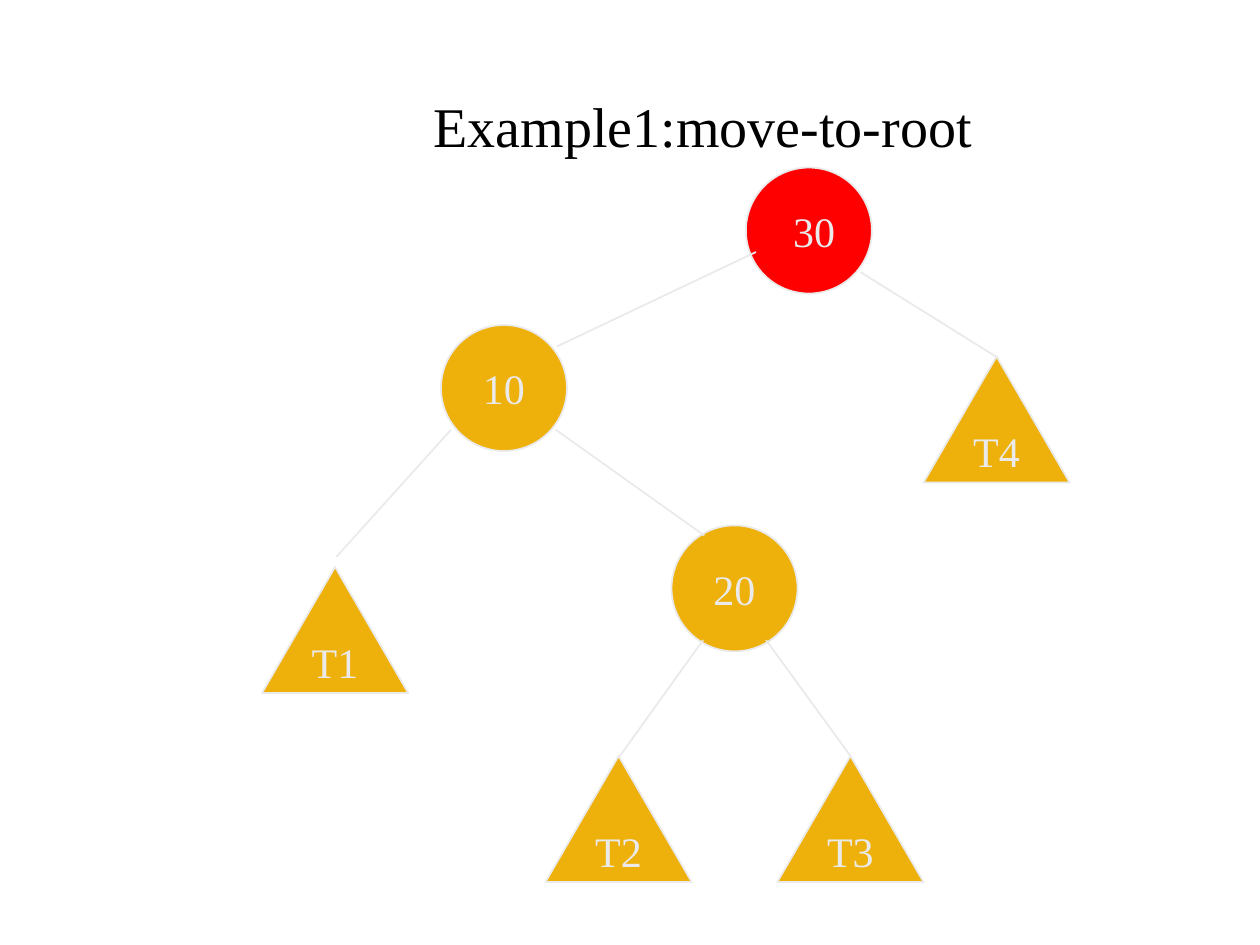
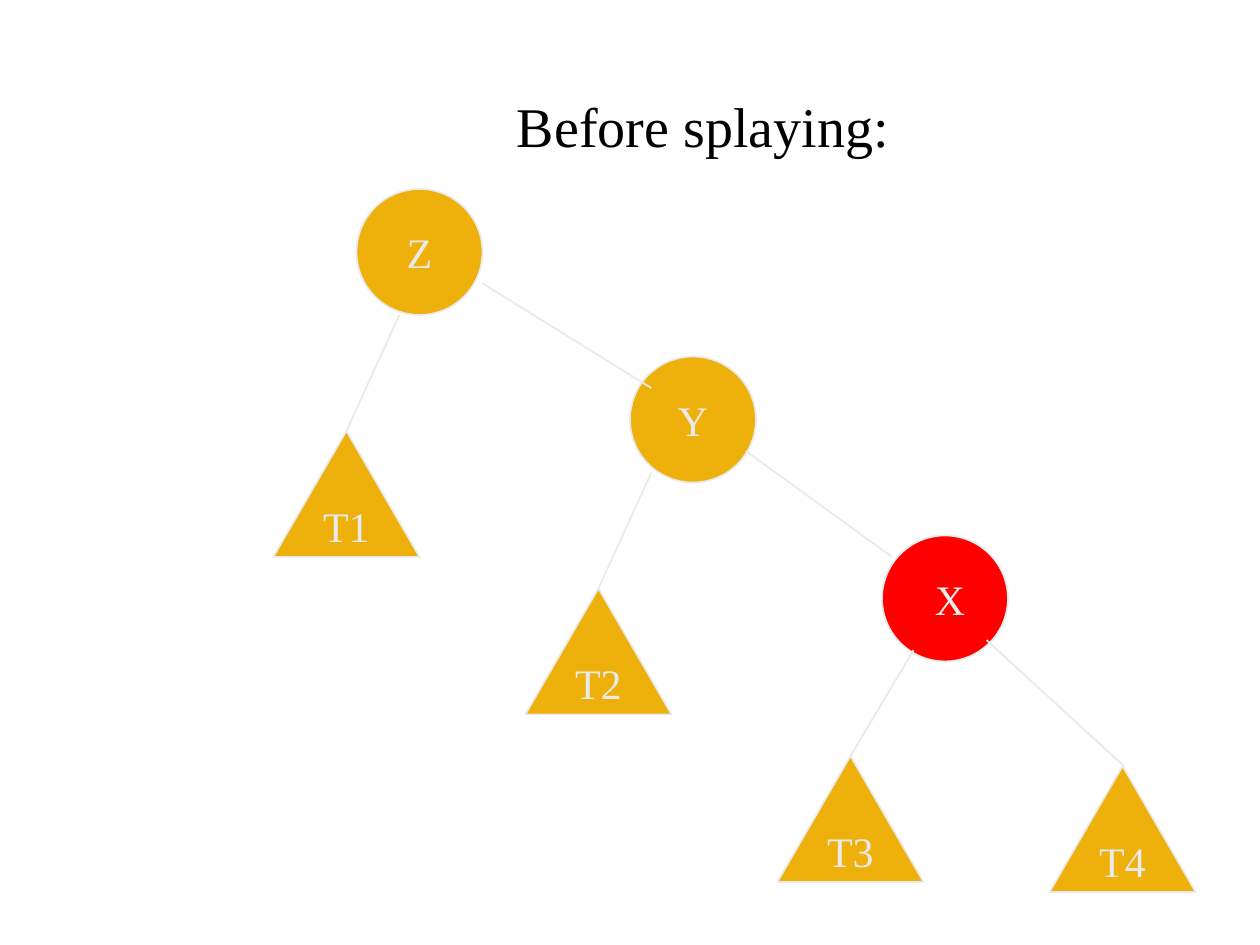
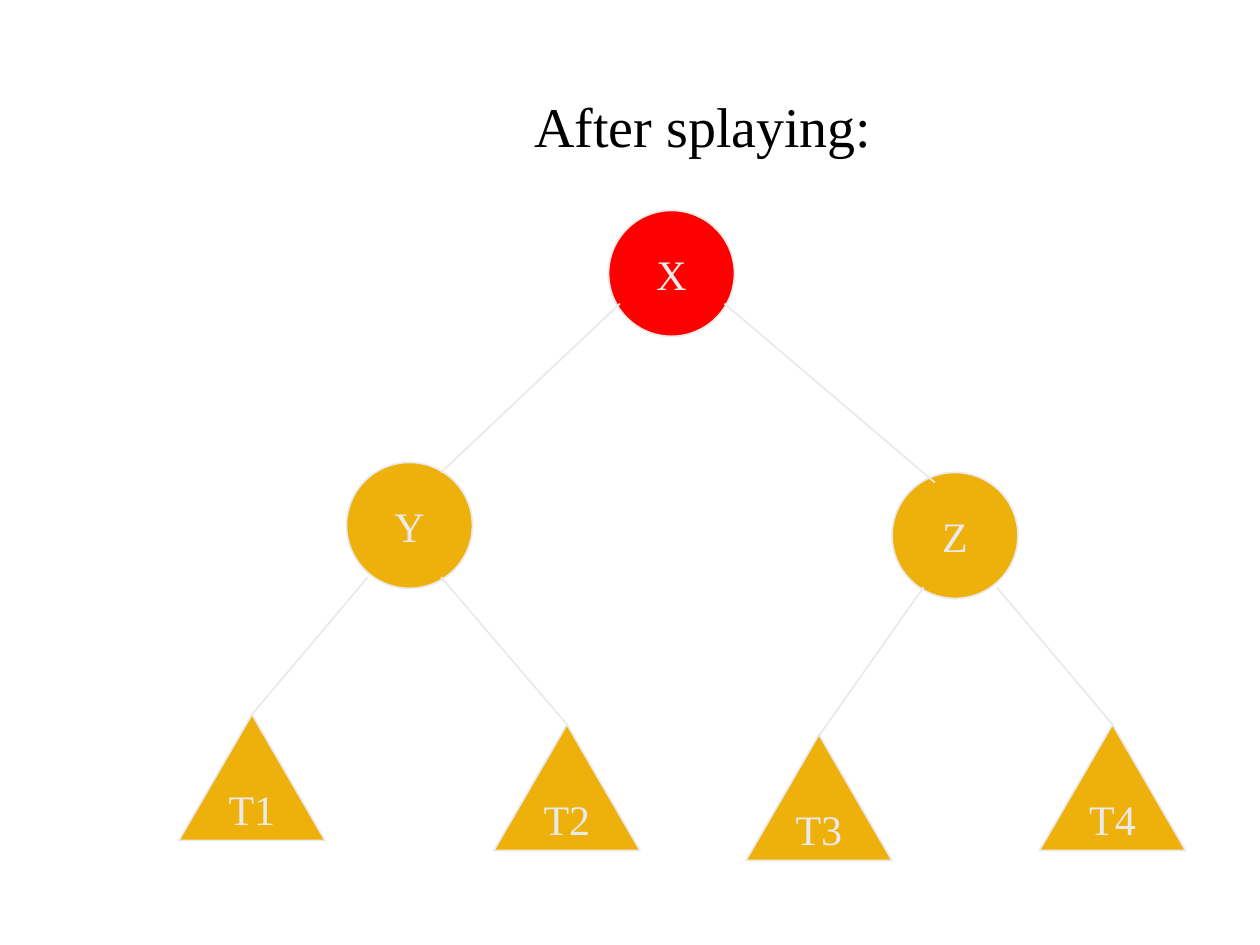
"""Build three slides of search trees that show splaying."""
from dataclasses import dataclass

from lxml import etree
from pptx import Presentation
from pptx import util as u
from pptx.dml.color import RGBColor
from pptx.enum import shapes, text
from pptx.oxml import ns


@dataclass(frozen=True)
class Theme:
    font: str = "Times New Roman"
    ink: str = "000000"
    pale: str = "EAEAEA"
    gold: str = "EEB00B"
    red: str = "FF0000"
    head: int = 32
    label: int = 24
    rule: int = 1


def inch(*nums):
    return [u.Inches(num) for num in nums]


class Deck:
    def __init__(self, theme):
        self.theme = theme
        self.show = Presentation()
        self.show.slide_width, self.show.slide_height = inch(10, 7.5)
        self.slide = None

    def letter(self, frame, words, size, tint):
        frame.text = words
        frame.vertical_anchor = text.MSO_ANCHOR.MIDDLE
        par = frame.paragraphs[0]
        par.alignment = text.PP_ALIGN.CENTER
        par.font.name = self.theme.font
        par.font.size = u.Pt(size)
        par.font.color.rgb = RGBColor.from_string(tint)

    def stroke(self, line):
        line.color.rgb = RGBColor.from_string(self.theme.pale)
        line.width = u.Pt(self.theme.rule)

    def title(self, words):
        self.slide = self.show.slides.add_slide(self.show.slide_layouts[5])
        box = self.slide.shapes.title
        box.left, box.top, box.width, box.height = inch(1.33, 0.33, 8.5, 1.32)
        box.text_frame.auto_size = text.MSO_AUTO_SIZE.NONE
        self.letter(box.text_frame, words, self.theme.head, self.theme.ink)

    def shape(self, kind, words, left, top, width, fill):
        item = self.slide.shapes.add_shape(kind, *inch(left, top, width, 1))
        item.shadow.inherit = False
        item.fill.solid()
        item.fill.fore_color.rgb = RGBColor.from_string(fill)
        self.stroke(item.line)
        item.text_frame.word_wrap = False
        self.letter(item.text_frame, words, self.theme.label, self.theme.pale)

    def node(self, words, left, top, hot=False):
        fill = self.theme.red if hot else self.theme.gold
        self.shape(shapes.MSO_SHAPE.OVAL, words, left, top, 1, fill)

    def leaf(self, words, left, top):
        kind = shapes.MSO_SHAPE.ISOSCELES_TRIANGLE
        self.shape(kind, words, left, top, 1.16, self.theme.gold)

    def link(self, *ends):
        kind = shapes.MSO_CONNECTOR.STRAIGHT
        edge = self.slide.shapes.add_connector(kind, *inch(*ends))
        self.stroke(edge.line)
        etree.SubElement(edge._element.spPr, ns.qn("a:effectLst"))

    def tree(self, title, nodes, leaves, links):
        self.title(title)
        for node in nodes:
            self.node(*node)
        for leaf in leaves:
            self.leaf(*leaf)
        for link in links:
            self.link(*link)


TREES = [
    dict(
        title="Example1:move-to-root",
        nodes=[("10", 3.5, 2.58), ("20", 5.33, 4.17), (" 30", 5.92, 1.33, True)],
        leaves=[("T1", 2.08, 4.5), ("T3", 6.17, 6), ("T2", 4.33, 6), ("T4", 7.33, 2.83)],
        links=[
            (2.67, 4.42, 3.58, 3.41),
            (4.42, 2.75, 6, 2),
            (4.92, 6, 5.58, 5.08),
            (6.75, 6, 6.08, 5.08),
            (7.92, 2.84, 6.83, 2.16),
            (5.59, 4.25, 4.41, 3.41),
        ],
    ),
    dict(
        title="Before splaying:",
        nodes=[("Z", 2.83, 1.5), ("Y", 5, 2.83), (" X", 7, 4.25, True)],
        leaves=[("T1", 2.17, 3.42), ("T3", 6.17, 6), ("T2", 4.17, 4.67), ("T4", 8.33, 6.08)],
        links=[
            (2.75, 3.42, 3.17, 2.5),
            (4.75, 4.67, 5.17, 3.75),
            (6.75, 6, 7.25, 5.16),
            (8.92, 6.08, 7.83, 5.08),
            (3.83, 2.25, 5.17, 3.08),
            (5.92, 3.58, 7.08, 4.42),
        ],
    ),
    dict(
        title="After splaying:",
        nodes=[("Y", 2.75, 3.67), ("X", 4.83, 1.67, True), ("Z", 7.08, 3.75)],
        leaves=[("T1", 1.42, 5.67), ("T3", 5.92, 5.83), ("T2", 3.92, 5.75), ("T4", 8.25, 5.75)],
        links=[
            (3.5, 3.75, 4.92, 2.41),
            (7.42, 3.83, 5.75, 2.41),
            (2, 5.67, 2.92, 4.58),
            (4.5, 5.75, 3.5, 4.58),
            (6.5, 5.84, 7.33, 4.66),
            (8.83, 5.75, 7.91, 4.66),
        ],
    ),
]


def main():
    deck = Deck(Theme())
    for tree in TREES:
        deck.tree(**tree)
    deck.show.save("out.pptx")


if __name__ == "__main__":
    main()
